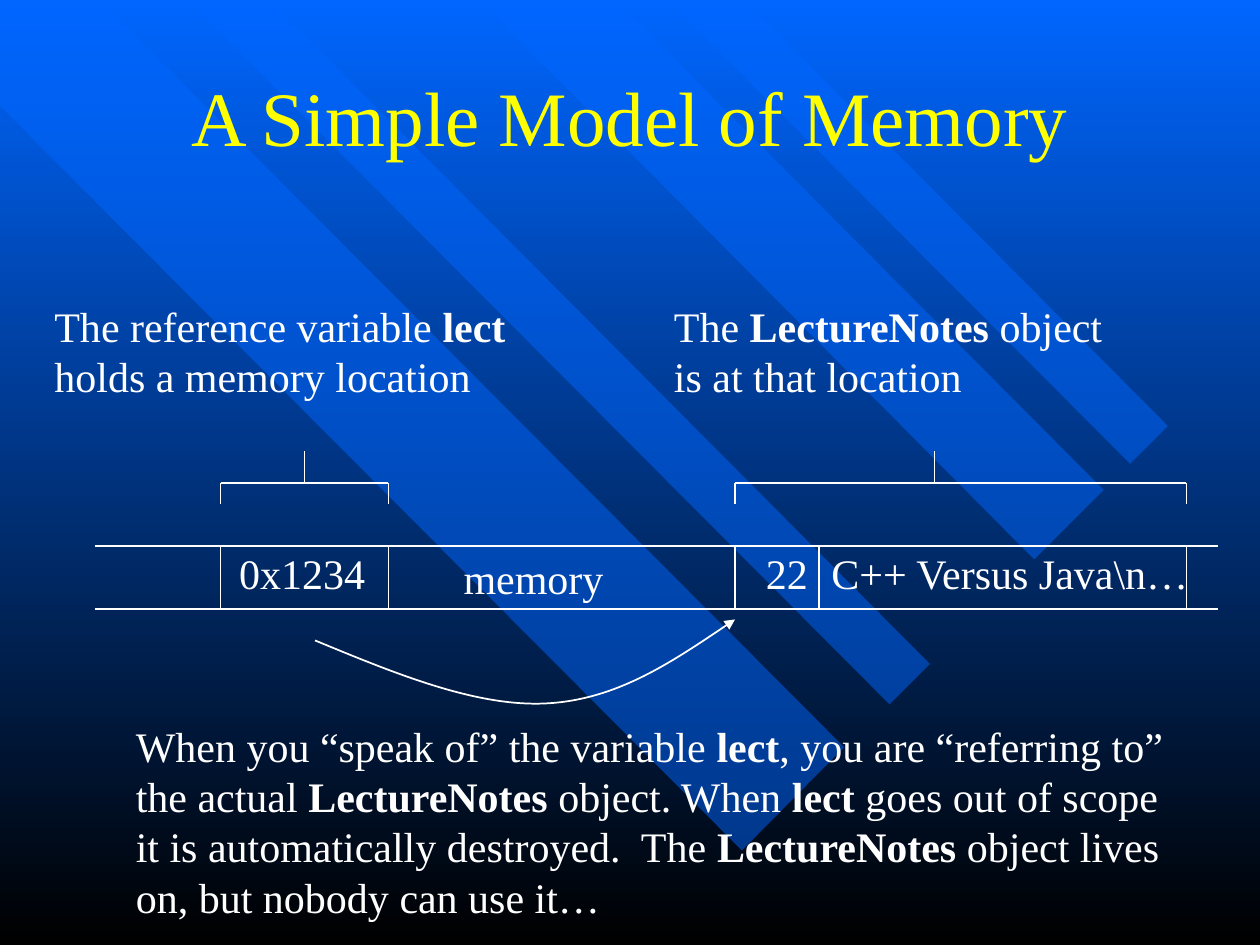
from lxml import etree
from pptx import Presentation
from pptx.dml.color import RGBColor
from pptx.enum.shapes import MSO_CONNECTOR
from pptx.enum.text import MSO_ANCHOR, MSO_AUTO_SIZE, PP_ALIGN
from pptx.oxml.ns import qn
from pptx.util import Pt

STRAIGHT = MSO_CONNECTOR.STRAIGHT
MIDDLE = MSO_ANCHOR.MIDDLE
FIT_SHAPE, FIXED = MSO_AUTO_SIZE.SHAPE_TO_FIT_TEXT, MSO_AUTO_SIZE.NONE
LEFT, CENTER = PP_ALIGN.LEFT, PP_ALIGN.CENTER
FONT = "Times New Roman"
COLORS = {"blue": "0066FF", "black": "000000", "yellow": "FFFF00", "white": "FFFFFF"}
BANDS = [
    [(482.4, 427), (57, 0), (0, 0), (0, 60.5), (424, 486)],
    [(154, 0), (531.4, 379.4), (508.3, 402.5), (107.3, 0)],
    [(352, 0), (630.7, 280), (591, 319.7), (273.6, 0)],
    [(381.6, 0), (645.8, 265), (667.4, 243.4), (425.5, 0)],
]
LECT, NOTES = ("lect", True), ("LectureNotes", True)


def rgb(name):
    """Return the named colour."""
    return RGBColor.from_string(COLORS[name])


def add_background(s):
    """Fill the slide with a gradient from blue down to black."""
    fill = s.background.fill
    fill.gradient()
    fill.gradient_angle = 270
    for stop, name, position in zip(fill.gradient_stops, ("blue", "black"), (0, 1)):
        stop.color.rgb = rgb(name)
        stop.position = position


def add_outline(s, box, points, close):
    """Draw a freeform through points given relative to the box."""
    x, y = box[:2]
    pts = [(Pt(x + px), Pt(y + py)) for px, py in points]
    builder = s.shapes.build_freeform(*pts[0])
    builder.add_line_segments(pts[1:], close=close)
    sp = builder.convert_to_shape()
    sp.shadow.inherit = False
    return sp


def add_bands(s, box):
    """Draw the half-transparent diagonal bands."""
    for points in BANDS:
        sp = add_outline(s, box, points, True)
        sp.fill.solid()
        sp.fill.fore_color.rgb = rgb("blue")
        color = sp._element.spPr.find(".//" + qn("a:srgbClr"))
        etree.SubElement(color, qn("a:alpha"), val="50000")
        sp.line.fill.background()


def add_line(s, x1, y1, x2, y2):
    """Draw a thin white line."""
    line = s.shapes.add_connector(STRAIGHT, Pt(x1), Pt(y1), Pt(x2), Pt(y2))
    line.line.color.rgb = rgb("white")
    line.line.width = Pt(1)
    etree.SubElement(line._element.spPr, qn("a:effectLst"))


def add_text(s, box, lines, size=24, color="white", align=LEFT):
    """Write paragraphs of (text, bold) runs in a box."""
    tf = s.shapes.add_textbox(*map(Pt, box)).text_frame
    tf.word_wrap = False
    tf.auto_size = FIT_SHAPE
    for i, runs in enumerate(lines):
        p = tf.add_paragraph() if i else tf.paragraphs[0]
        p.alignment = align
        for text, bold in runs:
            r = p.add_run()
            r.text = text
            r.font.name = FONT
            r.font.size = Pt(size)
            r.font.bold = bold
            r.font.color.rgb = rgb(color)
    return tf


def add_title(s, box):
    """Write the centred slide title."""
    tf = add_text(s, box, [[("A Simple Model of Memory", False)]], 44, "yellow", CENTER)
    tf.auto_size = FIXED
    tf.word_wrap = True
    tf.vertical_anchor = MIDDLE


def add_memory(s, box):
    """Draw the memory strip with its cells and their values."""
    x, y, w, h = box
    for rail in (y, y + h):
        add_line(s, x, rail, x + w, rail)
    for cell in (72, 168, 366, 414, 624):
        add_line(s, x + cell, y, x + cell, y + h)
    for text, dx, dy, width in (
        ("0x1234", 75.6, -2.5, 86.4),
        ("memory", 203.8, 0, 94.3),
        ("22", 376.6, -2.5, 38.4),
        ("C++ Versus Java\\n…", 414, -2.5, 221),
    ):
        add_text(s, (x + dx, y + dy, width, h), [[(text, False)]])


def add_bracket(s, box, stem):
    """Draw a bracket with a stem rising from its bar."""
    x, y, w, h = box
    bar = y + 0.6 * h
    add_line(s, x, bar, x + w, bar)
    for end in (x, x + w):
        add_line(s, end, bar, end, y + h)
    add_line(s, x + stem, y, x + stem, bar)


def add_pointer(s, box):
    """Draw the curved arrow from the reference to the object."""
    points = [(0, 12), (46, 31), (92, 50), (132, 48), (172, 46), (206, 23), (240, 0)]
    sp = add_outline(s, box, points, False)
    sp.fill.background()
    sp.line.color.rgb = rgb("white")
    sp.line.width = Pt(1)
    outline = sp._element.spPr.find(qn("a:ln"))
    etree.SubElement(outline, qn("a:tailEnd"), type="triangle")
    route = sp._element.spPr.find(".//" + qn("a:path"))
    segments = route.findall(qn("a:lnTo"))
    for i in range(0, len(segments), 3):
        curve = etree.SubElement(route, qn("a:cubicBezTo"))
        for segment in segments[i:i + 3]:
            curve.append(segment[0])
            route.remove(segment)


def main():
    """Build the slide and save it."""
    prs = Presentation()
    prs.slide_width, prs.slide_height = Pt(720), Pt(540)
    s = prs.slides.add_slide(prs.slide_layouts[6])
    add_background(s)
    add_bands(s, (0, 0, 720, 540))
    add_title(s, (54, 18, 612, 96))
    add_text(s, (24, 168, 272, 65), [
        [("The reference variable ", False), LECT],
        [("holds a memory location", False)],
    ])
    add_text(s, (378, 168, 259, 65), [
        [("The ", False), NOTES, (" object", False)],
        [("is at that location", False)],
    ])
    add_bracket(s, (126, 258, 96, 30), 48)
    add_bracket(s, (420, 258, 258, 30), 114)
    add_memory(s, (54, 312, 642, 36))
    add_pointer(s, (180, 354, 240, 50))
    add_text(s, (70.5, 408, 603, 122.5), [
        [("When you “speak of” the variable ", False), LECT,
         (", you are “referring to”", False)],
        [("the actual ", False), NOTES, (" object. When ", False), LECT,
         (" goes out of scope", False)],
        [("it is automatically destroyed.  The ", False), NOTES, (" object lives", False)],
        [("on, but nobody can use it…", False)],
    ])
    prs.save("out.pptx")


if __name__ == "__main__":
    main()
